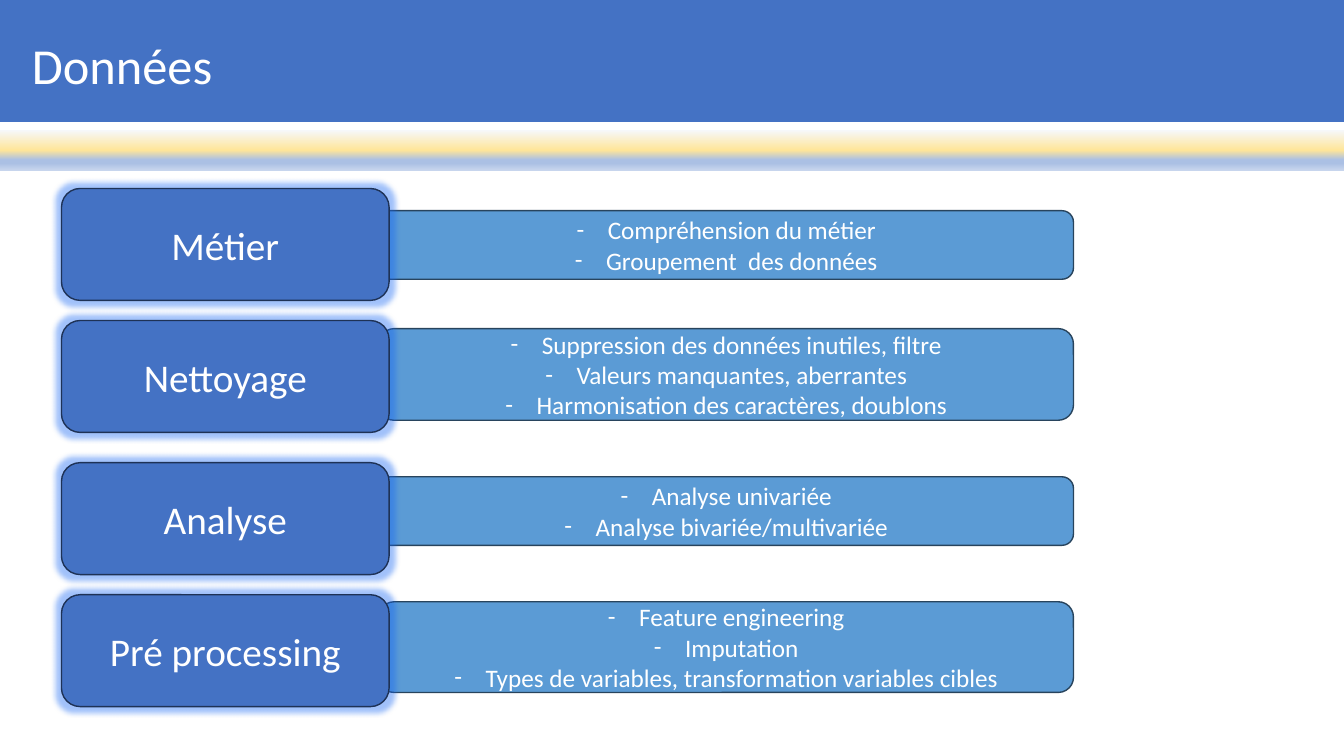
from dataclasses import dataclass

from lxml.etree import SubElement
from pptx import Presentation
from pptx.dml.color import RGBColor
from pptx.enum.shapes import MSO_SHAPE
from pptx.enum.text import MSO_ANCHOR, MSO_AUTO_SIZE, PP_ALIGN
from pptx.oxml.ns import qn
from pptx.util import Inches, Pt


@dataclass(frozen=True)
class Theme:
    font: str = "Calibri"
    title_size: int = 36
    card_size: int = 28
    detail_size: int = 18
    text: str = "FFFFFF"
    card: str = "4472C4"
    card_line: str = "1E3256"
    detail: str = "5B9BD5"
    detail_line: str = "28445D"
    band: tuple = ((0, "F6F8FC"), (50, "FFE699"), (74, "ABC0E4"), (83, "ABC0E4"), (100, "C7D5ED"))


theme = Theme()
presentation = Presentation()
presentation.slide_width = Inches(13.33)
presentation.slide_height = Inches(7.5)
slide = presentation.slides.add_slide(presentation.slide_layouts[5])
column = presentation.slide_width / 40
row = presentation.slide_height / 30


def add_block(preset, left, top, width, height, fill=None, line=None):
    shape = slide.shapes.add_shape(
        preset, round(left * column), round(top * row), round(width * column), round(height * row))
    shape.shadow.inherit = False
    if fill:
        shape.fill.solid()
        shape.fill.fore_color.rgb = RGBColor.from_string(fill)
    if line:
        shape.line.color.rgb = RGBColor.from_string(line)
        shape.line.width = Pt(1)
    else:
        shape.line.fill.background()
    return shape


def write_text(shape, text, size, alignment=PP_ALIGN.CENTER):
    text_frame = shape.text_frame
    text_frame.text = text
    text_frame.word_wrap = True
    text_frame.auto_size = MSO_AUTO_SIZE.NONE
    text_frame.vertical_anchor = MSO_ANCHOR.MIDDLE
    for paragraph in text_frame.paragraphs:
        paragraph.alignment = alignment
        for run in paragraph.runs:
            run.font.name = theme.font
            run.font.size = Pt(size)
            run.font.color.rgb = RGBColor.from_string(theme.text)


title = slide.shapes.title
title.left, title.top = 0, round(-0.16 * row)
title.width, title.height = presentation.slide_width, round(5 * row)
title.fill.solid()
title.fill.fore_color.rgb = RGBColor.from_string(theme.card)
write_text(title, "Données", theme.title_size, PP_ALIGN.LEFT)
title.text_frame.margin_left = round(0.95 * column)
title.text_frame.margin_top = round(0.64 * row)

band = add_block(MSO_SHAPE.RECTANGLE, 0, 5.16, 40, 1.6)
band.fill.gradient()
band.fill.gradient_angle = 270
stops = band.fill._fill._gradFill.find(qn("a:gsLst"))
for stop in list(stops):
    stops.remove(stop)
for position, color in theme.band:
    stop = SubElement(stops, qn("a:gs"), pos=str(position * 1000))
    SubElement(stop, qn("a:srgbClr"), val=color)

steps = [
    ("Métier", 7.48, 8.36, 2.72,
     ["Compréhension du métier", "Groupement  des données"]),
    ("Nettoyage", 12.72, 13.04, 3.64,
     ["Suppression des données inutiles, filtre", "Valeurs manquantes, aberrantes",
      "Harmonisation des caractères, doublons"]),
    ("Analyse", 18.36, 18.92, 2.72,
     ["Analyse univariée", "Analyse bivariée/multivariée"]),
    ("Pré processing", 23.6, 23.88, 3.6,
     ["Feature engineering", "Imputation",
      "Types de variables, transformation variables cibles"]),
]
for name, card_top, detail_top, detail_height, details in steps:
    detail = add_block(MSO_SHAPE.ROUNDED_RECTANGLE, 11.28, detail_top, 20.67, detail_height,
                       theme.detail, theme.detail_line)
    write_text(detail, "\n".join(details), theme.detail_size)
    for paragraph in detail.text_frame.paragraphs:
        properties = paragraph._p.get_or_add_pPr()
        properties.set("marL", str(Inches(0.31)))
        properties.set("indent", str(Inches(-0.31)))
        SubElement(properties, qn("a:buFont"), typeface=theme.font)
        SubElement(properties, qn("a:buChar"), char="-")

    card = add_block(MSO_SHAPE.ROUNDED_RECTANGLE, 1.83, card_top, 9.75, 4.44,
                     theme.card, theme.card_line)
    write_text(card, name, theme.card_size)
    effects = card._element.spPr.find(qn("a:effectLst"))
    glow = SubElement(effects, qn("a:glow"), rad=str(Pt(8)))
    glow_color = SubElement(glow, qn("a:srgbClr"), val=theme.card)
    SubElement(glow_color, qn("a:satMod"), val="175000")
    SubElement(glow_color, qn("a:alpha"), val="40000")

presentation.save("out.pptx")
